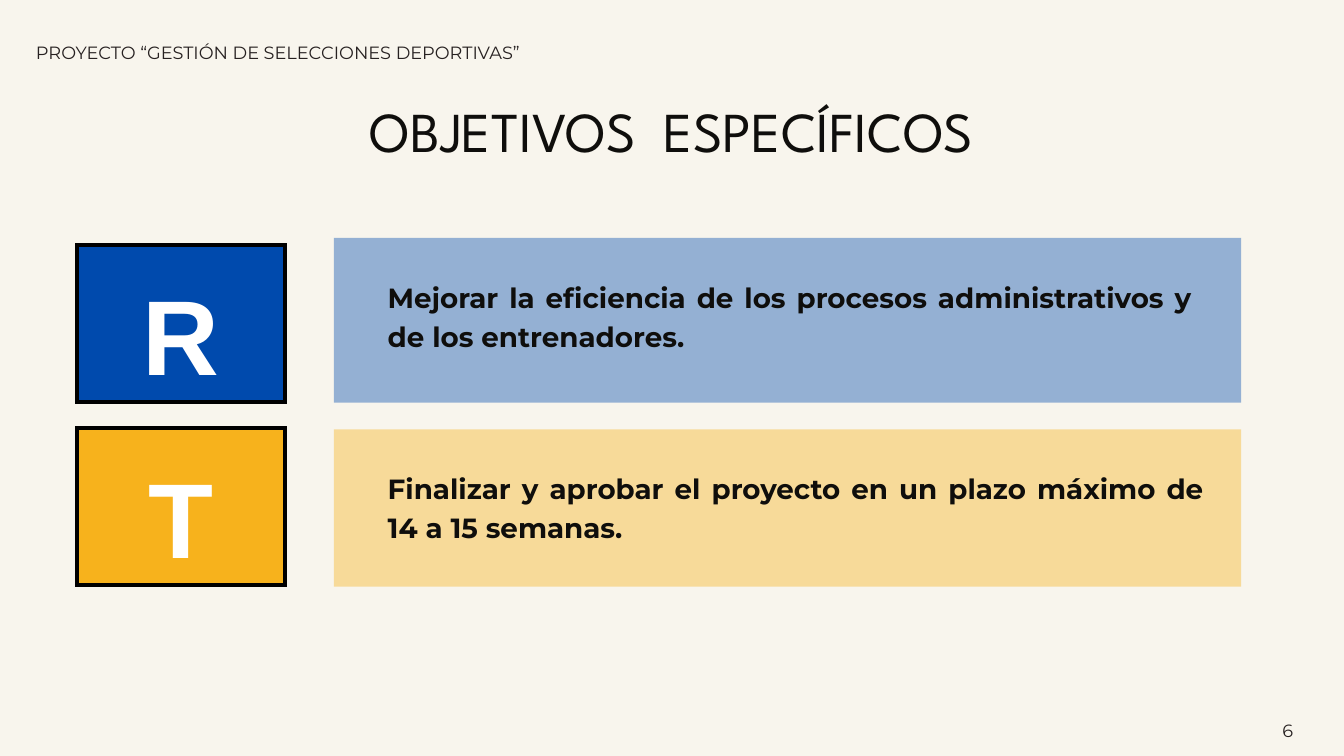
from dataclasses import dataclass

from lxml import etree
from pptx import Presentation
from pptx.dml.color import RGBColor
from pptx.enum.shapes import MSO_SHAPE
from pptx.enum.text import MSO_ANCHOR, MSO_AUTO_SIZE, PP_ALIGN
from pptx.oxml.ns import qn
from pptx.util import Inches, Pt

RECTANGLE = MSO_SHAPE.RECTANGLE
TOP = MSO_ANCHOR.TOP
NO_AUTOFIT = MSO_AUTO_SIZE.NONE
CENTER, JUSTIFY = PP_ALIGN.CENTER, PP_ALIGN.JUSTIFY
TITLE_ONLY_LAYOUT = 5

COLORS = {
    "background": "F8F5ED",
    "blue": "004AAD",
    "yellow": "F7B21C",
    "border": "000000",
    "letter": "FFFFFF",
    "text": "0F0E0C",
    "small": "272121",
}


@dataclass
class Box:
    left: float
    top: float
    width: float
    height: float

    def lengths(self) -> list:
        return [Inches(n) for n in (self.left, self.top, self.width, self.height)]


@dataclass
class TextStyle:
    font: str
    size: float
    line_spacing: float
    color: str
    bold: bool = False
    alignment: PP_ALIGN = CENTER


@dataclass
class Objective:
    letter: str
    text: str
    color: str
    tile: Box
    panel: Box
    text_box: Box


TITLE = TextStyle("League Spartan", 60.4, 84.5, "text")
LETTER = TextStyle("Arial", 113.9, 159.5, "letter", bold=True)
BODY = TextStyle("Montserrat", 29.7, 41.6, "text", bold=True, alignment=JUSTIFY)
SMALL = TextStyle("Montserrat", 19, 26.6, "small")

OBJECTIVES = [
    Objective(
        "R",
        "Mejorar la eficiencia de los procesos administrativos y de los entrenadores.",
        "blue",
        Box(1.15, 3.65, 3.09, 2.33),
        Box(4.97, 3.54, 13.5, 2.45),
        Box(5.77, 4.1, 11.97, 1.15),
    ),
    Objective(
        "T",
        "Finalizar y aprobar el proyecto en un plazo máximo de 14 a 15 semanas.",
        "yellow",
        Box(1.15, 6.37, 3.09, 2.33),
        Box(4.97, 6.39, 13.5, 2.34),
        Box(5.77, 6.94, 12.15, 1.15),
    ),
]


def rgb(name: str) -> RGBColor:
    return RGBColor.from_string(COLORS[name])


def write_text(shape, text: str, style: TextStyle) -> None:
    frame = shape.text_frame
    frame.text = text
    frame.word_wrap = True
    frame.auto_size = NO_AUTOFIT
    frame.vertical_anchor = TOP
    frame.margin_left = frame.margin_right = frame.margin_top = frame.margin_bottom = 0
    paragraph = frame.paragraphs[0]
    paragraph.alignment = style.alignment
    paragraph.line_spacing = Pt(style.line_spacing)
    paragraph.space_before = Pt(0)
    font = paragraph.runs[0].font
    font.name, font.size, font.bold = style.font, Pt(style.size), style.bold
    font.color.rgb = rgb(style.color)


def add_text(slide, box: Box, text: str, style: TextStyle) -> None:
    write_text(slide.shapes.add_textbox(*box.lengths()), text, style)


def add_rectangle(slide, box: Box, color: str):
    shape = slide.shapes.add_shape(RECTANGLE, *box.lengths())
    shape.shadow.inherit = False
    shape.fill.solid()
    shape.fill.fore_color.rgb = rgb(color)
    shape.line.fill.background()
    return shape


def add_tile(slide, objective: Objective) -> None:
    tile = add_rectangle(slide, objective.tile, objective.color)
    tile.line.color.rgb = rgb("border")
    tile.line.width = Inches(0.06)
    # Square corners on the border
    outline = tile._element.spPr.find(qn("a:ln"))
    etree.SubElement(outline, qn("a:miter"), lim="800000")
    letter_box = Box(objective.tile.left + 0.53, objective.tile.top + 0.04, 2.03, 2.07)
    add_text(slide, letter_box, objective.letter, LETTER)


def add_panel(slide, objective: Objective) -> None:
    panel = add_rectangle(slide, objective.panel, objective.color)
    # 40 % opacity
    color = panel._element.spPr.find(qn("a:solidFill")).find(qn("a:srgbClr"))
    etree.SubElement(color, qn("a:alpha"), val="40000")
    add_text(slide, objective.text_box, objective.text, BODY)


def main() -> None:
    presentation = Presentation()
    presentation.slide_width = Inches(20)
    presentation.slide_height = Inches(11.25)
    slide = presentation.slides.add_slide(presentation.slide_layouts[TITLE_ONLY_LAYOUT])
    slide.background.fill.solid()
    slide.background.fill.fore_color.rgb = rgb("background")

    # Title
    title = slide.shapes.title
    title.left, title.top, title.width, title.height = Box(4.5, 1.27, 10.99, 1.13).lengths()
    write_text(title, "OBJETIVOS  ESPECÍFICOS", TITLE)

    # Objectives: lettered tile and description panel
    for objective in OBJECTIVES:
        add_tile(slide, objective)
        add_panel(slide, objective)

    # Project name and page number
    add_text(slide, Box(0.46, 0.57, 7.35, 0.35), "PROYECTO “GESTIÓN DE SELECCIONES DEPORTIVAS”", SMALL)
    add_text(slide, Box(18.88, 10.66, 0.57, 0.35), "6", SMALL)

    presentation.save("out.pptx")


if __name__ == "__main__":
    main()
